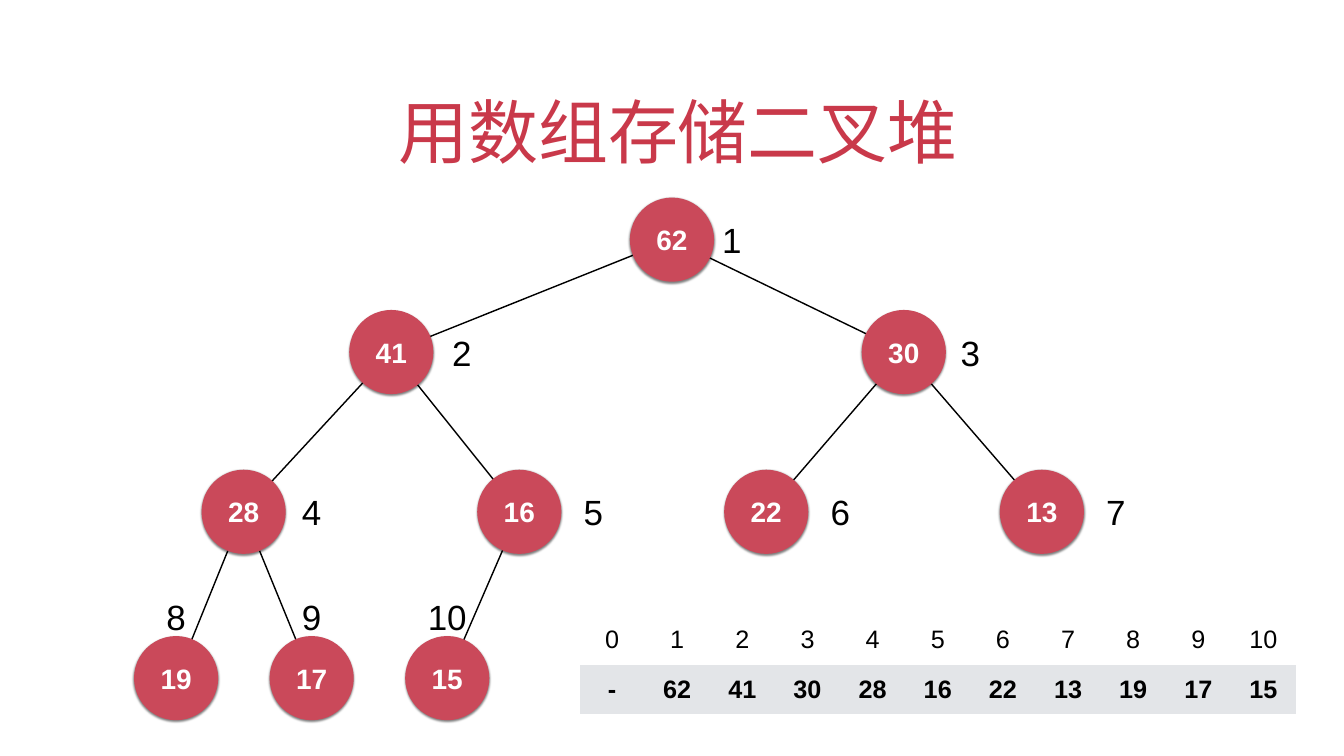
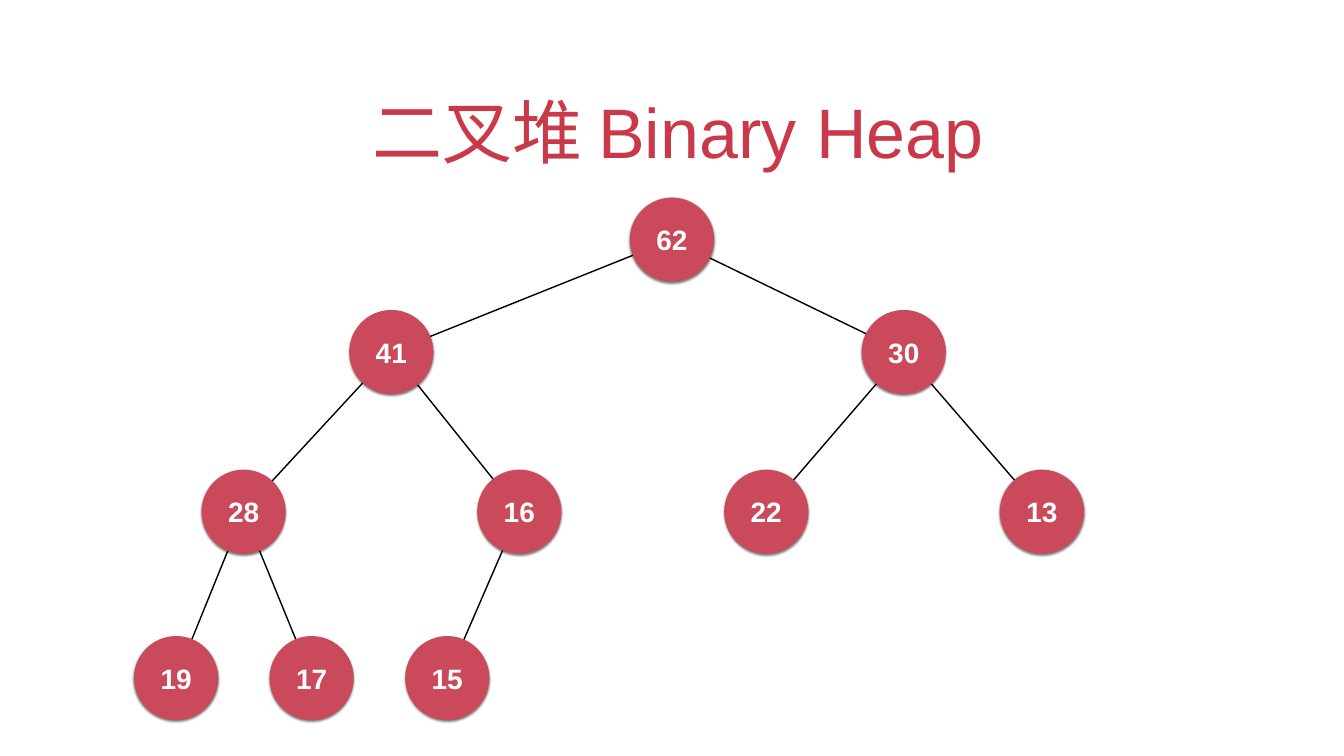
from lxml import etree
from pptx import Presentation
from pptx.dml.color import RGBColor
from pptx.enum.shapes import MSO_CONNECTOR, MSO_SHAPE
from pptx.enum.text import MSO_ANCHOR, MSO_AUTO_SIZE, PP_ALIGN
from pptx.oxml import parse_xml
from pptx.oxml.ns import nsdecls, qn
from pptx.util import Inches, Pt

RED = RGBColor(0xC9, 0x39, 0x4A)
NODE_RED = RGBColor(0xCA, 0x49, 0x5A)
GREY = RGBColor(0xE3, 0xE5, 0xE8)
WHITE = RGBColor(0xFF, 0xFF, 0xFF)
BLACK = RGBColor(0, 0, 0)
FONT = "Arial"
MARGIN = 0.06
DIAMETER = 1.67
NO_STYLE = "{2D5ABB26-0587-4C30-8999-92F81FD0307C}"

# Title and whether the array indexes are shown
SLIDES = [("用数组存储二叉堆", True), ("二叉堆 Binary Heap", False)]

# The heap in array order from index 1: value, left edge, index label's offset
# from the node's centre
HEAP = [
    (62, 12.5, 1.19),
    (41, 6.93, 1.4), (30, 17.1, 1.32),
    (28, 4, 1.35), (16, 9.47, 1.47), (22, 14.37, 1.47), (13, 19.84, 1.47),
    (19, 2.66, 0), (17, 5.35, 0), (15, 8.04, 0),
]
LEVEL_TOPS = [3.92, 6.15, 9.32, 12.62]
LEAF_LABEL_RISE = 1.23  # on the last level the labels stand above the nodes


def centre(index):
    """Return the centre of the node at a 1-based heap index."""
    top = LEVEL_TOPS[index.bit_length() - 1]
    return HEAP[index - 1][1] + DIAMETER / 2, top + DIAMETER / 2


def write(tf, text, size, colour, bold=False, anchor=MSO_ANCHOR.MIDDLE):
    """Put one centred, formatted line of text in a text frame."""
    tf.margin_left = tf.margin_right = Inches(MARGIN)
    tf.margin_top = tf.margin_bottom = Inches(MARGIN)
    tf.vertical_anchor = anchor
    tf.text = text
    style(tf.paragraphs[0], size, colour, bold)


def style(p, size, colour, bold):
    """Centre a paragraph and format its run."""
    p.alignment = PP_ALIGN.CENTER
    font = p.runs[0].font
    font.name, font.size, font.bold = FONT, Pt(size), bold
    font.color.rgb = colour


def add_title(s, text):
    """Place and format the title placeholder."""
    title = s.shapes.title
    title.left, title.top = Inches(1.94), Inches(1.27)
    title.width, title.height = Inches(22.78), Inches(2.22)
    tf = title.text_frame
    tf.auto_size, tf.word_wrap = MSO_AUTO_SIZE.NONE, True
    write(tf, text, 100, RED, anchor=MSO_ANCHOR.BOTTOM)
    # The first line is indented
    tf.paragraphs[0]._p.get_or_add_pPr().set("indent", str(Inches(0.25)))


def add_edge(s, child):
    """Draw the line from a node to its parent."""
    ends = centre(child) + centre(child // 2)
    line = s.shapes.add_connector(MSO_CONNECTOR.STRAIGHT, *map(Inches, ends))
    line.line.color.rgb, line.line.width = BLACK, Pt(2)
    etree.SubElement(line._element.spPr, qn("a:effectLst"))


def add_node(s, index):
    """Draw a node as a circle with a soft shadow below."""
    x, y = centre(index)
    node = s.shapes.add_shape(
        MSO_SHAPE.OVAL, Inches(x - DIAMETER / 2), Inches(y - DIAMETER / 2),
        Inches(DIAMETER), Inches(DIAMETER))
    node.fill.solid()
    node.fill.fore_color.rgb = NODE_RED
    node.line.fill.background()
    node._element.spPr.append(parse_xml(
        f'<a:effectLst {nsdecls("a")}>'
        f'<a:outerShdw blurRad="{Pt(3)}" dist="{Pt(2)}" dir="5400000" rotWithShape="0">'
        '<a:srgbClr val="000000"><a:alpha val="50000"/></a:srgbClr>'
        '</a:outerShdw></a:effectLst>'))
    write(node.text_frame, str(HEAP[index - 1][0]), 40, WHITE, bold=True)


def add_index(s, index):
    """Write a node's array index beside it, or above it on the last level."""
    x, y = centre(index)
    x += HEAP[index - 1][2]
    if index.bit_length() == len(LEVEL_TOPS):
        y -= LEAF_LABEL_RISE
    text = str(index)
    width, height = 2 * MARGIN + 0.39 * len(text), 0.94
    box = s.shapes.add_textbox(Inches(x - width / 2), Inches(y - height / 2),
                               Inches(width), Inches(height))
    box.text_frame.word_wrap = False
    write(box.text_frame, text, 50, BLACK)


def add_array(s):
    """Add the table of array indexes and stored values."""
    values = ["-"] + [str(value) for value, *_ in HEAP]
    rows = [(range(len(values)), WHITE, False), (values, GREY, True)]
    table = s.shapes.add_table(len(rows), len(values), Inches(11.5), Inches(12.2),
                               Inches(14.22), Inches(1.97)).table
    table.first_row = table.horz_banding = False
    table._tbl.tblPr.find(qn("a:tableStyleId")).text = NO_STYLE
    for r, (texts, fill, bold) in enumerate(rows):
        for c, text in enumerate(texts):
            cell = table.cell(r, c)
            cell.fill.solid()
            cell.fill.fore_color.rgb = fill
            cell.margin_left = cell.margin_right = Inches(MARGIN)
            cell.margin_top = cell.margin_bottom = Inches(MARGIN)
            cell.vertical_anchor = MSO_ANCHOR.MIDDLE
            cell.text = str(text)
            style(cell.text_frame.paragraphs[0], 36, BLACK, bold)


prs = Presentation()
prs.slide_width, prs.slide_height = Inches(26.67), Inches(15)
indexes = range(1, len(HEAP) + 1)
for title, with_array in SLIDES:
    s = prs.slides.add_slide(prs.slide_layouts[5])
    add_title(s, title)
    for i in indexes[1:]:
        add_edge(s, i)
    for i in indexes:
        add_node(s, i)
    if with_array:
        for i in indexes:
            add_index(s, i)
        add_array(s)
prs.save("out.pptx")
